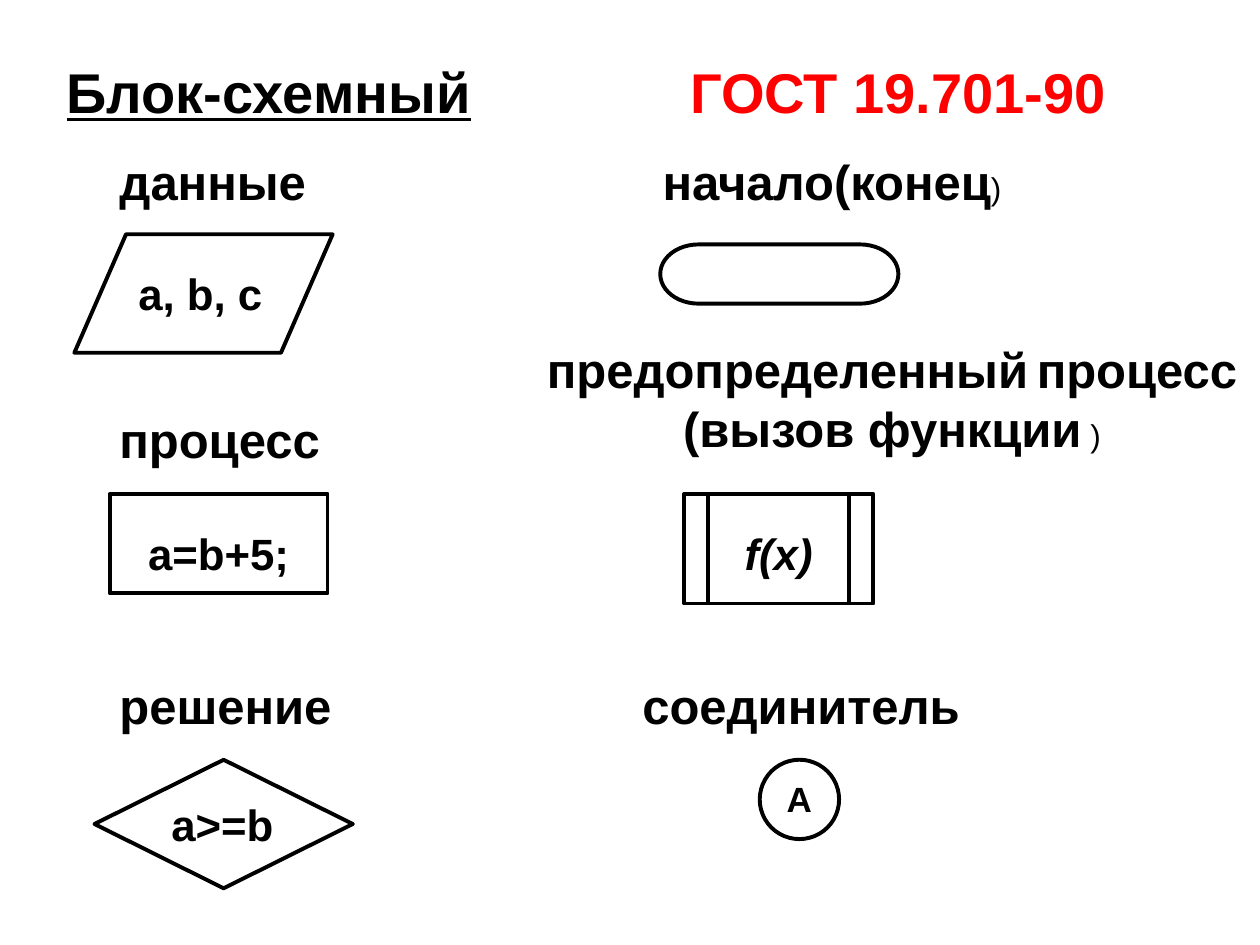
from pptx import Presentation
from pptx.dml.color import RGBColor
from pptx.enum.shapes import MSO_SHAPE as SHAPE
from pptx.enum.text import MSO_ANCHOR as ANCHOR, PP_ALIGN as ALIGN
from pptx.oxml.xmlchemy import OxmlElement
from pptx.util import Inches, Pt

BLACK, WHITE, RED = "000000", "FFFFFF", "FF0000"
LABEL_SIZE, SMALL_SIZE = 28, 18


def rgb(color):
    return RGBColor.from_string(color)


def style(font, size, color=BLACK, bold=True):
    font.name = "Arial"
    font.size = Pt(size)
    font.bold = bold
    font.color.rgb = rgb(color)


def add_box(slide, x, y, w, h, wrap=True):
    tf = slide.shapes.add_textbox(Inches(x), Inches(y), Inches(w), Inches(h)).text_frame
    tf.word_wrap = wrap
    tf.vertical_anchor = ANCHOR.MIDDLE
    return tf


def add_heading(slide, method, standard):
    p = add_box(slide, 0.43, 0.4, 8.6, 0.64).paragraphs[0]
    # The tab stop places the name of the standard
    tabs = OxmlElement("a:tabLst")
    tab = OxmlElement("a:tab")
    tab.set("pos", str(Inches(4.95)))
    tab.set("algn", "l")
    tabs.append(tab)
    p._p.get_or_add_pPr().append(tabs)
    style(p.font, 32)
    for text, color, underline in ((method, BLACK, True), ("\t", BLACK, False),
                                   (standard, RED, False)):
        r = p.add_run()
        r.text = text
        style(r.font, 32, color)
        r.font.underline = underline


def add_label(slide, x, y, w, h, lines, align=ALIGN.LEFT, indent=0, wrap=True):
    """Each line is a list of texts; every second text is small and light."""
    tf = add_box(slide, x, y, w, h, wrap)
    for i, texts in enumerate(lines):
        p = tf.add_paragraph() if i else tf.paragraphs[0]
        p.alignment = align
        if indent:
            p._p.get_or_add_pPr().set("indent", str(Inches(indent)))
        for j, text in enumerate(texts):
            r = p.add_run()
            r.text = text
            small = j % 2 == 1
            style(r.font, SMALL_SIZE if small else LABEL_SIZE, bold=not small)


def add_symbol(slide, kind, x, y, w, h, text="", size=25, align=ALIGN.CENTER,
               spacing=1.0, italic=False):
    s = slide.shapes.add_shape(kind, Inches(x), Inches(y), Inches(w), Inches(h))
    s.shadow.inherit = False
    s.fill.solid()
    s.fill.fore_color.rgb = rgb(WHITE)
    s.line.color.rgb = rgb(BLACK)
    s.line.width = Pt(2.25)
    if text:
        tf = s.text_frame
        tf.word_wrap = True
        tf.vertical_anchor = ANCHOR.TOP
        p = tf.paragraphs[0]
        p.text = text
        p.alignment = align
        p.line_spacing = spacing
        style(p.font, size)
        p.font.italic = italic


def main():
    prs = Presentation()
    prs.slide_width, prs.slide_height = Inches(10), Inches(7.5)
    slide = prs.slides.add_slide(prs.slide_layouts[6])

    add_heading(slide, "Блок-схемный", "ГОСТ 19.701-90")

    # Left column: data, process, decision
    for y, text in ((1.15, "данные"), (3.2, "процесс"), (5.31, "решение")):
        add_label(slide, 0.35, y, 2.44, 0.57, [[text]], indent=0.5)
    add_symbol(slide, SHAPE.FLOWCHART_DATA, 0.59, 1.86, 2.05, 0.94, "a, b, c",
               align=ALIGN.LEFT, spacing=1.5)
    add_symbol(slide, SHAPE.RECTANGLE, 0.87, 3.92, 1.73, 0.79, "a=b+5;", spacing=1.5)
    add_symbol(slide, SHAPE.FLOWCHART_DECISION, 0.75, 6.03, 2.05, 1.02, "a>=b",
               align=ALIGN.LEFT)

    # Right column: terminator, predefined process, connector
    add_label(slide, 5.16, 1.15, 2.99, 0.57, [["начало(конец", ")"]])
    add_symbol(slide, SHAPE.FLOWCHART_TERMINATOR, 5.24, 1.94, 1.89, 0.47)
    add_label(slide, 4.23, 2.65, 5.7, 1.03,
              [["предопределенный", " ", "процесс"], ["(вызов функции", " )"]],
              align=ALIGN.CENTER, wrap=False)
    add_symbol(slide, SHAPE.FLOWCHART_PREDEFINED_PROCESS, 5.43, 3.92, 1.5, 0.87,
               "f(x)", spacing=1.5, italic=True)
    add_label(slide, 5, 5.31, 2.8, 0.57, [["соединитель"]])
    add_symbol(slide, SHAPE.FLOWCHART_CONNECTOR, 6.03, 6.03, 0.63, 0.63, "A", size=20)

    prs.save("out.pptx")


if __name__ == "__main__":
    main()
